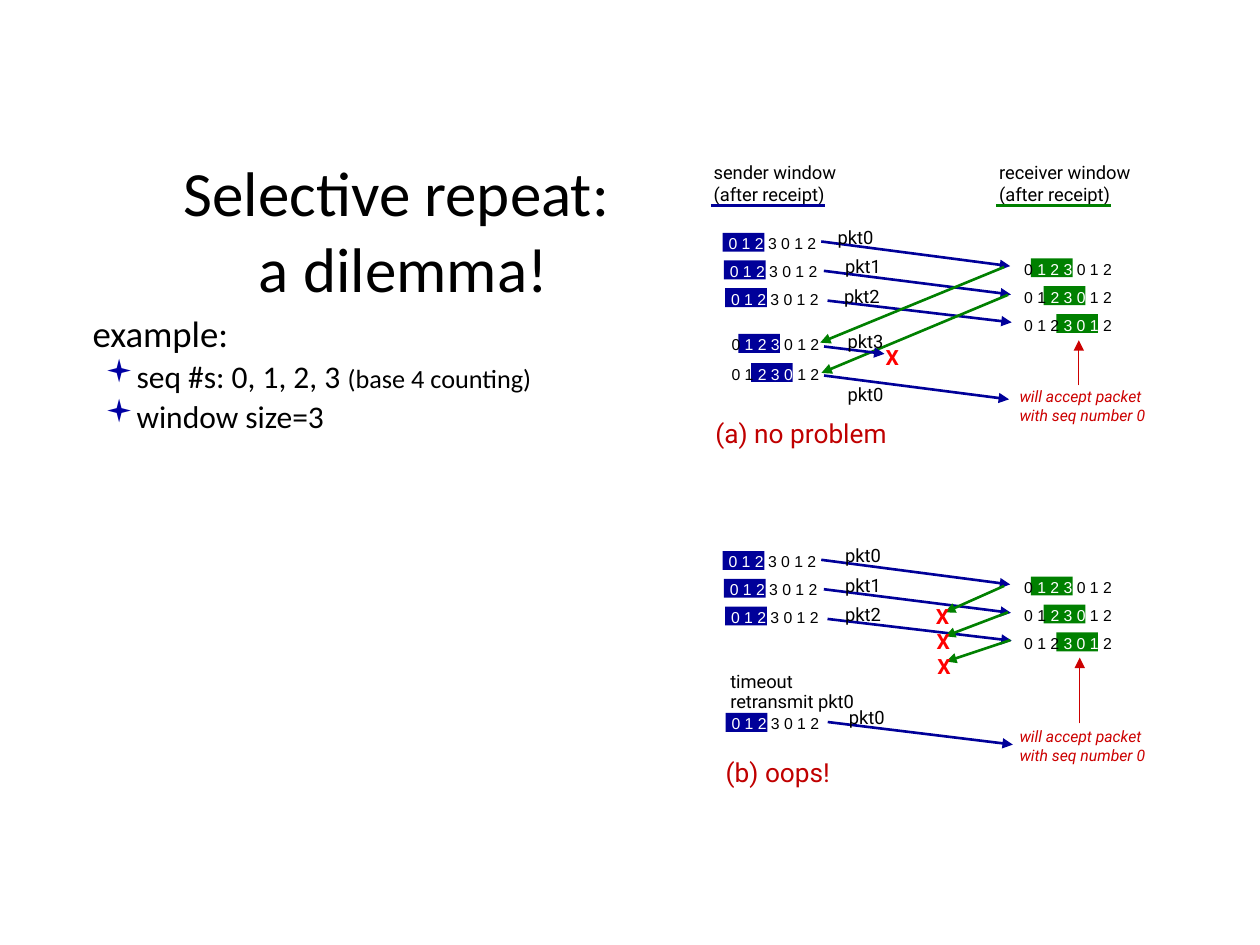
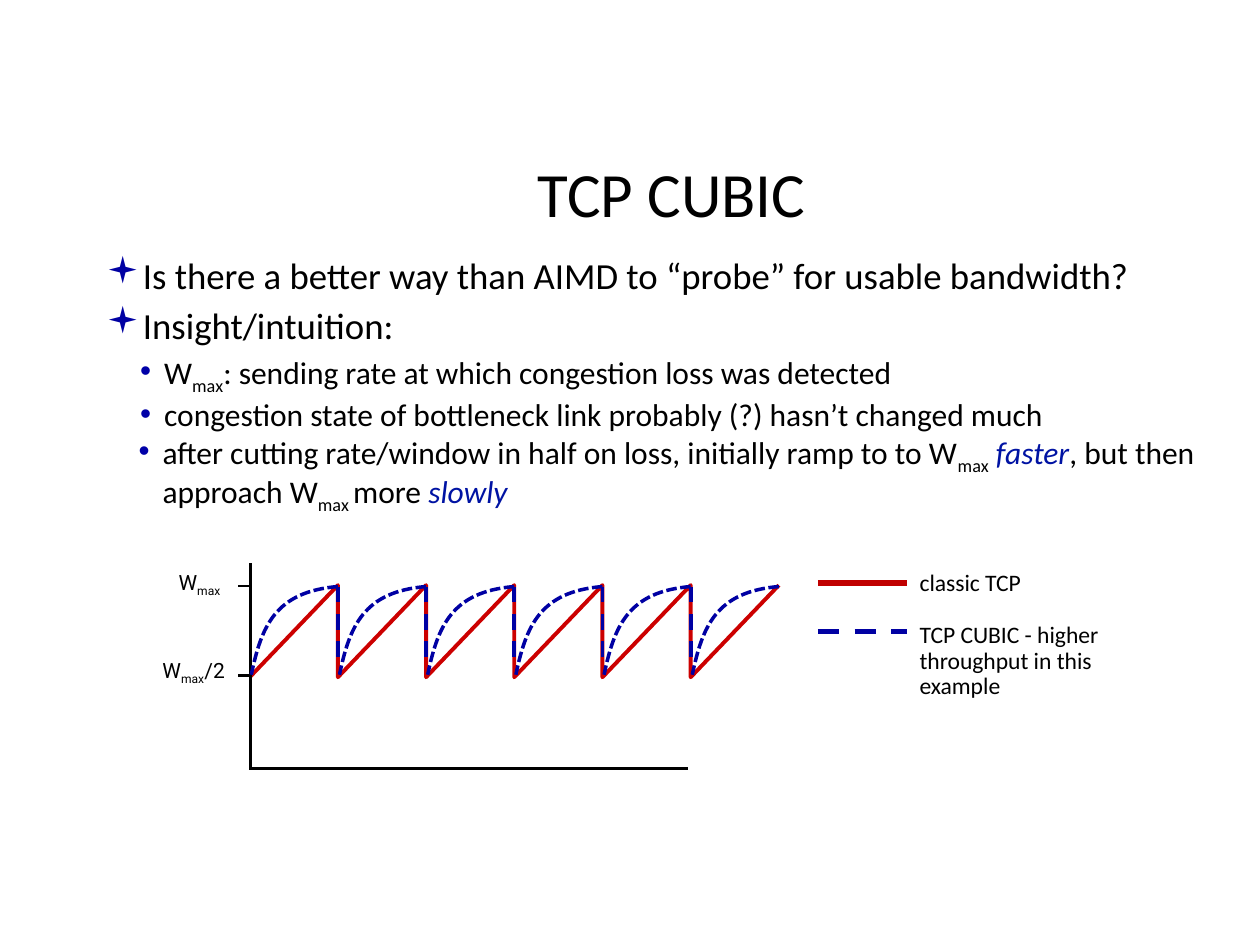
from dataclasses import dataclass, replace

from lxml import etree
from pptx import Presentation
from pptx import util as u
from pptx.dml.color import RGBColor
from pptx.enum import dml, shapes, text
from pptx.oxml.ns import qn

Pt = u.Pt


@dataclass(frozen=True)
class Style:
    font: str
    size: float
    color: str = "000000"
    bold: bool = False
    italic: bool = False
    subscript: bool = False


@dataclass(frozen=True)
class Theme:
    black: str = "000000"
    white: str = "FFFFFF"
    sender: str = "000099"
    receiver: str = "008000"
    accent: str = "0000A3"
    sub_bullet: str = "0000A8"
    red: str = "CC0000"
    dark_red: str = "C00000"
    title: Style = Style("Calibri", 36)
    body: Style = Style("Calibri", 21)
    point: Style = Style("Calibri", 18)
    aside: Style = Style("Calibri", 15)
    legend: Style = Style("Calibri", 13.5)
    axis: Style = Style("Roboto", 12)
    label: Style = Style("Roboto", 10.5)
    digits: Style = Style("Arial", 9)
    note: Style = Style("Roboto", 9, "CC0000", italic=True)
    loss: Style = Style("Roboto", 12, "FF0000", bold=True)
    caption: Style = Style("Roboto", 15, "C00000")
    emphasis: Style = Style("Calibri", 18, "0013A3", italic=True)


THEME = Theme()


@dataclass(frozen=True)
class Format:
    """Paragraph layout; lengths in points."""
    left: float = 0
    indent: float = 0
    line: float = 1.0
    before: float = 0
    bullet: str = ""
    bullet_font: str = ""
    bullet_color: str = ""
    level: int = 0


PLAIN = Format()
TIGHT = Format(line=0.9)
LEAD = Format(0.7, 0, 0.8, 7.5)
EXAMPLE = Format(20.9, -13, 0.7, 7.5, "▪", "Wingdings", THEME.accent)
TOP = Format(27.2, -19.4, 0.9, 7.5, "▪", "Wingdings", THEME.accent)
SUB = Format(40.9, -13.7, 0.9, 3.8, "•", "Arial", THEME.sub_bullet, 1)


def rgb(color):
    return RGBColor.from_string(color)


def add_run(para, words, style):
    span = para.add_run()
    span.text = words
    span.font.name = style.font
    span.font.size = Pt(style.size)
    span.font.color.rgb = rgb(style.color)
    if style.bold:
        span.font.bold = True
    if style.italic:
        span.font.italic = True
    if style.subscript:
        span._r.get_or_add_rPr().set("baseline", "-25000")


def format_para(para, form, first):
    props = para._p.get_or_add_pPr()
    if form.left or form.indent:
        props.set("marL", str(Pt(form.left)))
        props.set("indent", str(Pt(form.indent)))
    if form.bullet:
        color = etree.SubElement(props, qn("a:buClr"))
        etree.SubElement(color, qn("a:srgbClr"), val=form.bullet_color)
        etree.SubElement(props, qn("a:buFont"), typeface=form.bullet_font)
        etree.SubElement(props, qn("a:buChar"), char=form.bullet)
    para.level = form.level
    para.line_spacing = form.line
    if not first:
        para.space_before = Pt(form.before)


def add_text(slide, place, paras, wrap=False):
    """Each paragraph is (format, [(words, style), ...])."""
    box = slide.shapes.add_textbox(*map(Pt, place))
    frame = box.text_frame
    frame.word_wrap = wrap
    for index, (form, spans) in enumerate(paras):
        para = frame.add_paragraph() if index else frame.paragraphs[0]
        format_para(para, form, index == 0)
        for words, style in spans:
            add_run(para, words, style)
    return frame


def add_label(slide, place, style, *lines):
    frame = add_text(slide, place, [(PLAIN, [(line, style)]) for line in lines])
    frame.auto_size = text.MSO_AUTO_SIZE.SHAPE_TO_FIT_TEXT


def add_body(slide, place, paras):
    frame = add_text(slide, place, paras, wrap=True)
    frame.margin_left = frame.margin_right = Pt(5.4)
    frame.margin_top = frame.margin_bottom = Pt(2.7)


def set_title(slide, place, *lines):
    title = slide.shapes.title
    title.left, title.top, title.width, title.height = map(Pt, place)
    frame = title.text_frame
    frame.auto_size = text.MSO_AUTO_SIZE.NONE
    frame.vertical_anchor = text.MSO_ANCHOR.MIDDLE
    para = frame.paragraphs[0]
    para.alignment = text.PP_ALIGN.CENTER
    for index, line in enumerate(lines):
        if index:
            para.add_line_break()
        add_run(para, line, THEME.title)


def add_line(slide, start, end, color, width=1.5, arrow=False, dash=None):
    line = slide.shapes.add_connector(
        shapes.MSO_CONNECTOR.STRAIGHT, *map(Pt, (*start, *end)))
    line.line.color.rgb = rgb(color)
    line.line.width = Pt(width)
    if dash:
        line.line.dash_style = dash
    if arrow:
        etree.SubElement(line.get_or_add_ln(), qn("a:tailEnd"), type="triangle")
    etree.SubElement(line._element.spPr, qn("a:effectLst"))


def add_path(slide, points, color, width, dash=None):
    points = [(Pt(x), Pt(y)) for x, y in points]
    builder = slide.shapes.build_freeform(*points[0])
    builder.add_line_segments(points[1:], close=False)
    path = builder.convert_to_shape()
    path.shadow.inherit = False
    path.fill.background()
    path.line.color.rgb = rgb(color)
    path.line.width = Pt(width)
    if dash:
        path.line.dash_style = dash
    return path


def add_curve(slide, points, color, width, dash):
    """One cubic curve: start, two control points inside its frame, end."""
    shape = add_path(slide, points, color, width, dash)
    outline = next(shape._element.iter(qn("a:path")))
    cubic = etree.SubElement(outline, qn("a:cubicBezTo"))
    for segment in outline.findall(qn("a:lnTo")):
        cubic.append(segment[0])
        outline.remove(segment)


def add_window(slide, x, y, first, color):
    """Sequence numbers with a window of three, starting at index first."""
    frame = slide.shapes.add_shape(
        shapes.MSO_SHAPE.RECTANGLE,
        *map(Pt, (x + 3.7 + 7.25 * first, y + 2.9, 23.8, 10.8)))
    frame.shadow.inherit = False
    frame.fill.solid()
    frame.fill.fore_color.rgb = rgb(color)
    frame.line.fill.background()
    numbers, start = "0 1 2 3 0 1 2", 2 * first
    parts = [(numbers[:start], THEME.digits),
             (numbers[start:start + 5], replace(THEME.digits, color=THEME.white)),
             (numbers[start + 5:], THEME.digits)]
    box = add_text(slide, (x, y, 64.8, 18),
                   [(PLAIN, [part for part in parts if part[0]])])
    box.auto_size = text.MSO_AUTO_SIZE.SHAPE_TO_FIT_TEXT


def add_packet(slide, x, y, number):
    add_label(slide, (x, y, 35.3, 20.2), THEME.label, f"pkt{number}")


def add_exchange(slide, top, packet_lefts):
    """Three packets sent, and both windows after each one."""
    arrows = zip((469.3, 470.8, 472.9), (7.9, 24.7, 41.7), (22, 38.2, 54.1))
    for i, (x, y_sent, y_received) in enumerate(arrows):
        add_window(slide, 409.3 + 0.7 * i, top + 15.85 * i, 0, THEME.sender)
        add_line(slide, (x, top + y_sent), (577.3 + 0.4 * i, top + y_received),
                 THEME.sender, arrow=True)
        add_packet(slide, packet_lefts[i], top - 4.5 + 16.9 * i, i)
        add_window(slide, 578.2, top + 14.6 + 15.95 * i, i + 1, THEME.receiver)


def add_acks(slide, *ends):
    for start, end in ends:
        add_line(slide, start, end, THEME.receiver, arrow=True)


def add_loss(slide, x, y):
    add_label(slide, (x, y, 23, 21.6), THEME.loss, "X")


def add_acceptance(slide, x, y, arrow_start, arrow_end):
    add_label(slide, (575.5, y, 90, 28.8), THEME.note,
              "will accept packet", "with seq number 0")
    add_line(slide, (x, arrow_start), (x, arrow_end), THEME.red, 0.75, True)


def add_heading(slide, x, width, color, words):
    add_label(slide, (x, 88.3, width, 32.4), THEME.label, words, "(after receipt)")
    add_line(slide, (x + 5.5, 117.4), (x + 71, 117.4), color)


def draw_no_problem(slide):
    add_heading(slide, 400.7, 85, THEME.sender, "sender window")
    add_heading(slide, 563.9, 90, THEME.receiver, "receiver window")
    add_exchange(slide, 130.1, (471.6, 475.9, 475.2))
    add_window(slide, 411, 204.6, 2, THEME.sender)
    add_line(slide, (470.9, 214.6), (576.6, 228.2), THEME.sender, arrow=True)
    add_packet(slide, 477.3, 215.3, 0)
    add_acks(slide, ((573.8, 152.6), (468.7, 195.8)), ((576, 168.5), (469.4, 213.1)))
    add_loss(slide, 499, 193.5)
    add_acceptance(slide, 616.5, 217.4, 220.3, 194.4)
    add_line(slide, (470.9, 198), (505.4, 202.2), THEME.sender, arrow=True)
    add_window(slide, 411, 187.9, 1, THEME.sender)
    add_packet(slide, 477.3, 185, 3)
    add_label(slide, (401.7, 234.7, 114.5, 25.2), THEME.caption, "(a) no problem")


def draw_oops(slide):
    add_exchange(slide, 312, (475.9, 475.9, 475.9))
    add_window(slide, 411, 404.5, 0, THEME.sender)
    add_line(slide, (473, 412.6), (578.8, 425.5), THEME.sender, arrow=True)
    add_packet(slide, 478, 399.8, 0)
    timeout = add_text(slide, (410.2, 380.9, 85.7, 30.2),
                       [(TIGHT, [(line, THEME.label)])
                        for line in ("timeout", "retransmit pkt0")])
    timeout.auto_size = text.MSO_AUTO_SIZE.SHAPE_TO_FIT_TEXT
    add_acks(slide, ((573.8, 334.8), (540, 349.9)), ((576, 349.9), (540, 363.6)),
             ((577.4, 365.8), (540.7, 378)))
    for i in range(3):
        add_loss(slide, 527.7 + 0.4 * i, 341.3 + 14.4 * i)
    add_acceptance(slide, 617, 411.8, 413.3, 375.8)
    add_label(slide, (407.6, 428.4, 75.6, 25.2), THEME.caption, "(b) oops!")


def w_max(style, after="", gap=""):
    spans = [("W", style), ("max" + gap, replace(style, subscript=True))]
    return spans + [(after, style)] if after else spans


def draw_sawtooth(slide):
    left, step, high, low = 142.7, 50.4, 334.4, 387
    peaks = [left + step * (i + 1) for i in range(6)]
    teeth = [(left, low)]
    for peak in peaks:
        teeth += [(peak, high), (peak, low)]
    add_path(slide, teeth[:-1], THEME.red, 2.25)

    add_line(slide, (142.6, 439.2), (393.1, 439.2), THEME.black)
    add_line(slide, (143.1, 321.8), (143.1, 439.9), THEME.black)
    for y in (334.8, 385.9):
        add_line(slide, (136.1, y), (142.6, y), THEME.black)

    top = 335.2
    for peak in peaks:
        start = peak - 49.5
        curve = [(peak, top), (peak - 36, top + 2.9),
                 (start + 5.8, top + 23), (start, top + 50.4)]
        add_curve(slide, curve, THEME.accent, 2, dml.MSO_LINE.SQUARE_DOT)
    for peak in peaks[:-1]:
        add_line(slide, (peak, top), (peak, top + 47), THEME.accent, 2.25,
                 dash=dml.MSO_LINE.DASH)

    for place, after in (((95, 321.8, 41, 21.6), ""), ((85.7, 372.2, 51.8, 21.6), "/2")):
        box = add_text(slide, place, [(PLAIN, w_max(THEME.axis, after))])
        box.auto_size = text.MSO_AUTO_SIZE.SHAPE_TO_FIT_TEXT


def draw_legend(slide):
    add_line(slide, (467.3, 333.2), (518.4, 333.2), THEME.dark_red, 3)
    add_line(slide, (467.3, 360.7), (518.4, 360.7), THEME.accent, 3,
             dash=dml.MSO_LINE.DASH)
    add_label(slide, (518.4, 321.1, 73.4, 23.8), THEME.legend, "classic TCP")
    box = add_text(slide, (518.4, 352.8, 128.9, 51.1),
                   [(TIGHT, [("TCP CUBIC - higher throughput in this example",
                              THEME.legend)])], wrap=True)
    box.auto_size = text.MSO_AUTO_SIZE.SHAPE_TO_FIT_TEXT


def build_dilemma(slide):
    set_title(slide, (47, 91.8, 367.2, 78.5), "Selective repeat: ", "a dilemma!")
    draw_oops(slide)
    draw_no_problem(slide)
    add_body(slide, (46.8, 179.7, 326.2, 78.5), [
        (LEAD, [("example:", THEME.body)]),
        (EXAMPLE, [("seq #s: 0, 1, 2, 3 ", THEME.point),
                   ("(base 4 counting)", THEME.aside)]),
        (EXAMPLE, [("window size=3", THEME.point)])])


def build_cubic(slide):
    point = THEME.point
    set_title(slide, (47.5, 83.8, 672.5, 52.6), "TCP CUBIC")
    add_body(slide, (47.5, 144.5, 659.5, 274.3), [
        (TOP, [("Is there a better way than AIMD to “probe” for usable bandwidth?",
                THEME.body)])])
    draw_sawtooth(slide)
    draw_legend(slide)
    add_body(slide, (47.5, 172.9, 659.5, 274.3), [
        (TOP, [("Insight/intuition:", THEME.body)]),
        (SUB, w_max(point, ": sending rate at which congestion loss was detected")),
        (SUB, [("congestion state of bottleneck link probably (?) hasn’t changed much",
                point)])])
    add_body(slide, (46.6, 245.2, 659.5, 53.3), [
        (SUB, [("after cutting rate/window in half on loss, initially ramp to to ", point),
               *w_max(point), (" faster", THEME.emphasis),
               (", but then approach ", point), *w_max(point, "more ", " "),
               ("slowly", THEME.emphasis)])])


def main():
    deck = Presentation()
    deck.slide_width, deck.slide_height = Pt(720), Pt(540)
    title_only = deck.slide_layouts[5]
    for build in (build_dilemma, build_cubic):
        build(deck.slides.add_slide(title_only))
    deck.save("out.pptx")


if __name__ == "__main__":
    main()
